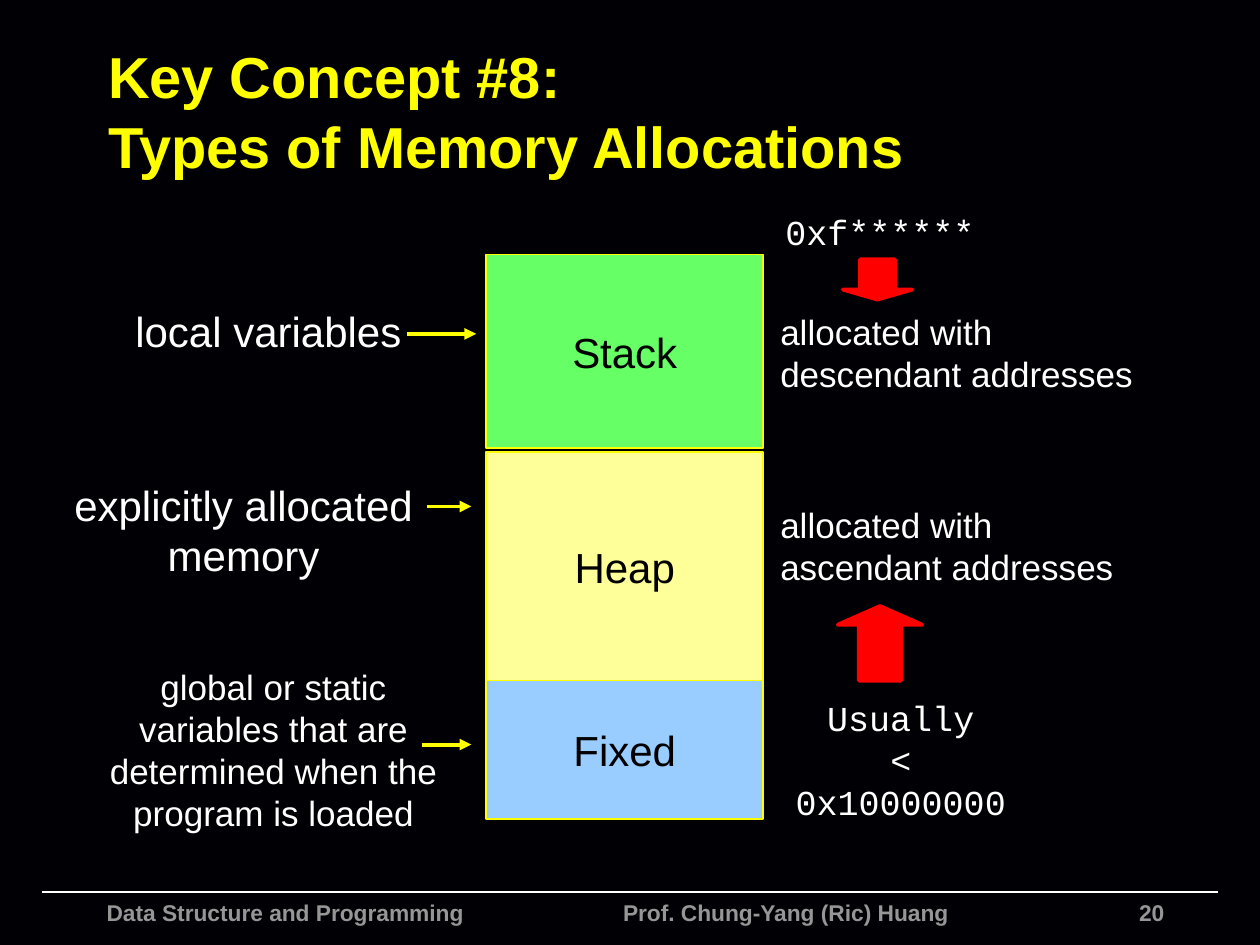
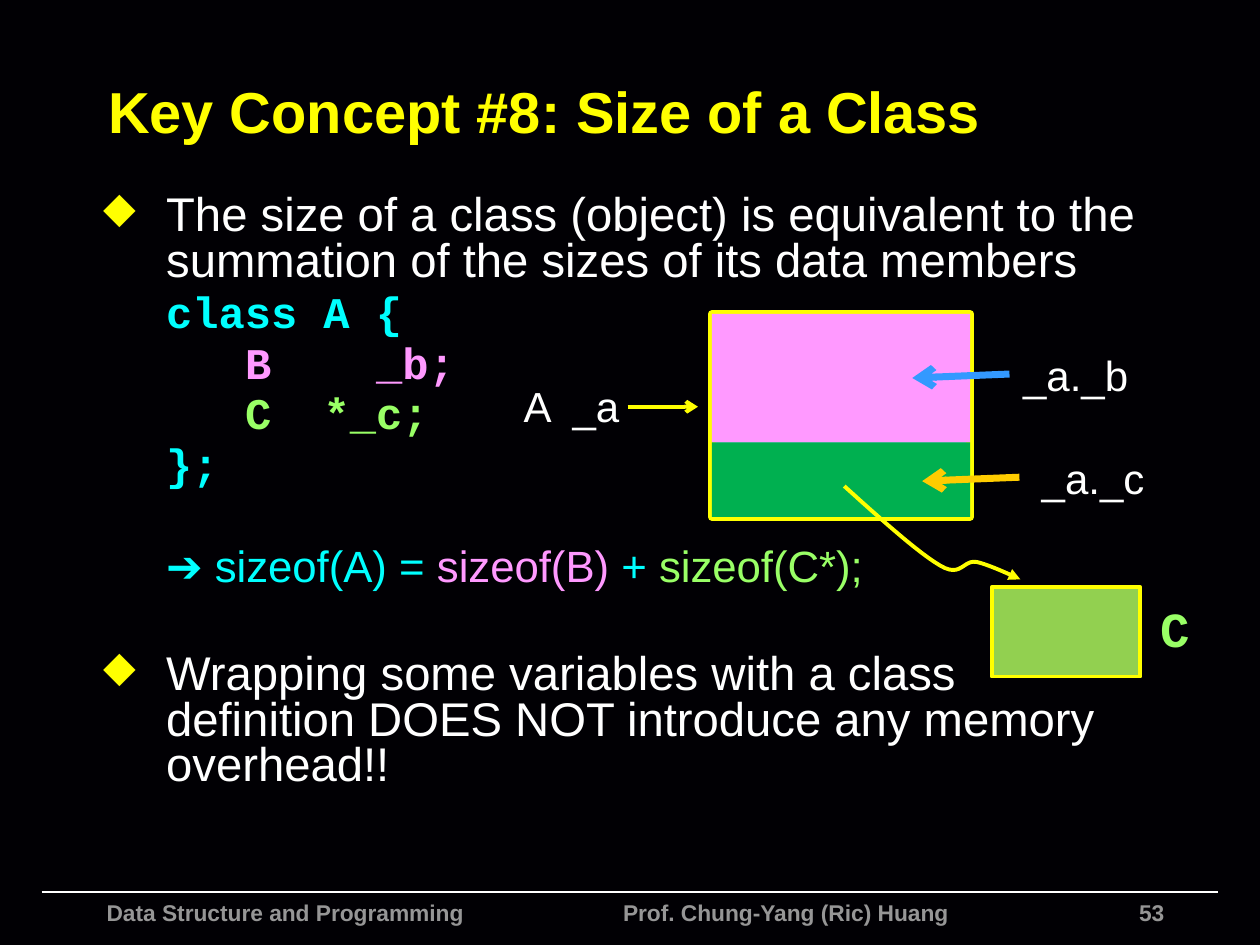
from lxml.etree import SubElement
from pptx import Presentation
from pptx.dml.color import RGBColor
from pptx.enum.shapes import MSO_CONNECTOR, MSO_SHAPE
from pptx.enum.text import MSO_ANCHOR, PP_ALIGN
from pptx.oxml.ns import qn
from pptx.util import Cm, Pt

BACK, WHITE, BLACK, GREY = "010004", "FFFFFF", "000000", "969696"
YELLOW, RED, CYAN, PINK, LIME = "FFFF00", "FF0000", "00FFFF", "FF99FF", "99FF66"
SANS, MONO = "Arial", "Courier New"
LEFT, MID, RIGHT = PP_ALIGN.LEFT, PP_ALIGN.CENTER, PP_ALIGN.RIGHT
WIDE, TIGHT = 0.25, 0.13


def tint(code):
    """Turn a hex string into a colour."""
    return RGBColor.from_string(code)


def node(parent, tag, **attrs):
    """Add a drawing element below a parent."""
    return SubElement(parent, qn("a:" + tag), attrs)


def style(font, size, color, face=SANS, bold=False):
    """Set the look of a font."""
    font.size, font.name, font.bold = Pt(size), face, bold
    font.color.rgb = tint(color)


def write(frame, lines, size, color, face=SANS, bold=False, align=MID,
          pad=TIGHT, wrap=False, anchor=MSO_ANCHOR.TOP):
    """Fill a frame with lines that share one font."""
    frame.word_wrap, frame.vertical_anchor = wrap, anchor
    frame.margin_left = frame.margin_right = Cm(pad)
    frame.margin_top = frame.margin_bottom = Cm(TIGHT)
    for i, line in enumerate(lines):
        para = frame.add_paragraph() if i else frame.paragraphs[0]
        para.text, para.alignment = line, align
        style(para.font, size, color, face, bold)


def label(slide, box, lines, size, color=WHITE, **look):
    """Add a text box."""
    frame = slide.shapes.add_textbox(*map(Cm, box)).text_frame
    write(frame, lines, size, color, **look)
    return frame


def block(slide, box, fill, line=None, width=1, kind=MSO_SHAPE.RECTANGLE):
    """Add a filled shape, outlined if a line colour is given."""
    shape = slide.shapes.add_shape(kind, *map(Cm, box))
    shape.shadow.inherit = False
    shape.fill.solid()
    shape.fill.fore_color.rgb = tint(fill)
    if line:
        shape.line.color.rgb = tint(line)
        shape.line.width = Pt(width)
    else:
        shape.line.fill.background()
    return shape


def stroke(shape, color, width, tip=None):
    """Set the line of a shape and the head at its end."""
    shape.line.color.rgb = tint(color)
    shape.line.width = Pt(width)
    if tip:
        node(shape.line._get_or_add_ln(), "tailEnd", type=tip)


def link(slide, start, end, color=YELLOW, width=2.25, tip="triangle"):
    """Draw a straight line between two points."""
    line = slide.shapes.add_connector(
        MSO_CONNECTOR.STRAIGHT, *map(Cm, (*start, *end)))
    stroke(line, color, width, tip)
    node(line._element.spPr, "effectLst")


def curve(slide, start, parts, steps=12):
    """Draw a chain of cubic curves that ends in an arrowhead."""
    points, here = [], start
    for a, b, end in parts:
        for i in range(1, steps + 1):
            t = i / steps
            u = 1 - t
            points.append(tuple(
                Cm(u**3 * p + 3 * u * u * t * q + 3 * u * t * t * r + t**3 * s)
                for p, q, r, s in zip(here, a, b, end)))
        here = end
    pen = slide.shapes.build_freeform(*map(Cm, start), scale=1.0)
    pen.add_line_segments(points, close=False)
    shape = pen.convert_to_shape()
    shape.shadow.inherit = False
    shape.fill.background()
    stroke(shape, YELLOW, 2.25, "triangle")


def foot(slide, x, y, number):
    """Draw the rule, the footer and the slide number."""
    link(slide, (x, y), (x + 23.72, y), WHITE, 1, None)
    look = dict(size=13, color=GREY, bold=True, pad=WIDE, wrap=True)
    label(slide, (x + 14.83, y, 8.05, 0.46), [str(number)], align=RIGHT, **look)
    frame = label(
        slide, (x + 1.06, y, 18.39, 1.07),
        ["Data Structure and Programming\tProf. Chung-Yang (Ric) Huang"],
        align=LEFT, **look)
    tabs = node(frame.paragraphs[0]._p.pPr, "tabLst")
    frame.paragraphs[0]._p.pPr.insert(0, tabs)
    node(tabs, "tab", pos=str(Cm(10.41)), algn="l")


def base(deck, title, number):
    """Start a slide with its background, title and footer."""
    slide = deck.slides.add_slide(deck.slide_layouts[6])
    slide.background.fill.solid()
    slide.background.fill.fore_color.rgb = tint(BACK)
    foot(slide, 0.84, 17.98, number)
    label(slide, (1.93, 0.94, 22.45, 2.57), [title], 33, YELLOW, bold=True,
          align=LEFT, pad=WIDE, wrap=True, anchor=MSO_ANCHOR.MIDDLE)
    return slide


def stack(slide, x, y, width):
    """Draw the three areas of memory."""
    for name, top, height, fill in (("Stack", 0, 3.91, "66FF66"),
                                    ("Heap", 3.99, 4.6, "FFFF99"),
                                    ("Fixed", 8.59, 2.79, "99CCFF")):
        area = block(slide, (x, y + top, width, height), fill, YELLOW)
        write(area.text_frame, [name], 24, BLACK, anchor=MSO_ANCHOR.MIDDLE)


def users(slide, x, y):
    """Say what lives in each area, with an arrow to it."""
    for text, size, box, start, end, wrap in (
            ("local variables", 24, (1.4, 0.89, 5.64, 1.27),
             (7.01, 1.6), 8.41, False),
            ("explicitly allocated memory", 24, (0, 4.4, 7.44, 2.31),
             (7.42, 5.08), 8.31, True),
            ("global or static variables that are determined when the "
             "program is loaded", 20, (0.82, 8.15, 7.01, 3.63),
             (7.32, 9.88), 8.31, True)):
        left, top, *area = box
        label(slide, (x + left, y + top, *area), [text], size, wrap=wrap)
        across, down = start
        link(slide, (x + across, y + down), (x + end, y + down))


def growth(slide, x, y):
    """Show the addresses and the ways the areas grow."""
    label(slide, (x, y, 4.5, 1.09), ["0xf*******"], 20, face=MONO)
    label(slide, (x + 0.13, y + 9.81, 5.08, 1.96),
          ["Usually", "< 0x10000000"], 20, face=MONO, wrap=True)
    for kind, left, top, width, height in (
            (MSO_SHAPE.DOWN_ARROW, 1.5, 1.12, 1.4, 0.81),
            (MSO_SHAPE.UP_ARROW, 1.4, 8.11, 1.7, 1.5)):
        arrow = block(slide, (x + left, y + top, width, height),
                      RED, RED, 2.25, kind)
        arrow.adjustments[0], arrow.adjustments[1] = 0.5, 0.25
    for word, top in (("descendant", 2.01), ("ascendant", 5.92)):
        label(slide, (x + 0.11, y + top, 7.7, 1.96),
              ["allocated with", word + " addresses"], 20,
              align=LEFT, wrap=True)


def points(slide, box):
    """Write the bullets and the code between them."""
    frame = label(slide, box, [], 27, pad=WIDE, wrap=True)
    item, code = (27, SANS, False), (25, MONO, True)
    rows = (
        (item, 1.27, 5.4, [("The size of a class (object) is equivalent to the "
                            "summation of the sizes of its data members", WHITE)]),
        (code, 1.27, 5, [("class A {", CYAN)]),
        (code, 2.86, 5, [("B    _b;", PINK)]),
        (code, 2.86, 5, [("C  *_c;", LIME)]),
        (code, 1.27, 5, [("};", CYAN)]),
        ((25, SANS, False), 1.27, 34,
         [("➔ sizeof(A) = ", CYAN), ("sizeof(B)", PINK), (" + ", CYAN),
          ("sizeof(C*);", LIME)]),
        (item, 1.27, 36.5, [("Wrapping some variables with a class definition "
                             "DOES NOT introduce any memory overhead!!", WHITE)]))
    for i, (look, indent, before, runs) in enumerate(rows):
        size, face, bold = look
        para = frame.add_paragraph() if i else frame.paragraphs[0]
        para.line_spacing, para.space_before = 0.8, Pt(before)
        props = para._p.get_or_add_pPr()
        props.set("marL", str(Cm(indent)))
        props.set("indent", str(Cm(-indent if look == item else 0)))
        if look == item:
            node(node(props, "buClr"), "srgbClr", val=YELLOW)
            node(props, "buSzPct", val="90000")
            node(props, "buChar", char="◆")
        else:
            node(props, "buNone")
        for text, color in runs:
            run = para.add_run()
            run.text = text
            if len(runs) > 1:
                style(run.font, size, color, face, bold)
        if len(runs) == 1:
            style(para.font, size, runs[0][1], face, bold)


def layout(slide, x, y, width):
    """Draw the object, its members and what the pointer leads to."""
    block(slide, (x, y, width, 4.09), "99CCFF", YELLOW, 4.5)
    block(slide, (x, y, width, 2.59), PINK)
    block(slide, (x, y + 2.59, width, 1.5), "00B050")
    label(slide, (x - 4.06, y + 1.21, 2.46, 1.27), ["A  _a"], 24, pad=WIDE)
    link(slide, (x - 1.7, y + 1.87), (x - 0.28, y + 1.87), tip="arrow")
    for name, color, left, tip, top in (("_a._b", "3399FF", 6, 6, 0.58),
                                        ("_a._c", "FFCC00", 6.35, 6.2, 2.66)):
        label(slide, (x + left, y + top, 2.67, 1.3), [name], 24, pad=WIDE)
        link(slide, (x + tip, y + top + 0.63),
             (x + tip - 1.96, y + top + 0.71), color, 4, "arrow")
    path = (((3.4, 4.13), (4.17, 4.82), (4.6, 5.07)),
            ((5.03, 5.33), (5.06, 4.95), (5.34, 5)),
            ((5.59, 5.05), (6.22, 5.35), (6.22, 5.35)))
    curve(slide, (x + 2.67, y + 3.47),
          [[(x + a, y + b) for a, b in part] for part in path])
    block(slide, (x + 5.64, y + 5.51, 3, 1.8), "92D050", YELLOW, 2.25)
    label(slide, (x + 8.79, y + 5.61, 1.12, 1.45), ["C"], 28, LIME,
          face=MONO, bold=True, align=LEFT, pad=WIDE)


def main():
    """Build the two slides and save them."""
    deck = Presentation()
    deck.slide_width, deck.slide_height = Cm(25.4), Cm(19.05)
    slide = base(deck, "Key Concept #8:\vTypes of Memory Allocations", 20)
    stack(slide, 9.8, 5.13, 5.59)
    users(slide, 1.19, 5.13)
    growth(slide, 15.49, 4.11)
    slide = base(deck, "Key Concept #8: Size of a Class", 53)
    points(slide, (1.83, 3.81, 21.59, 13.13))
    layout(slide, 14.35, 6.33, 5.21)
    deck.save("out.pptx")


if __name__ == "__main__":
    main()
